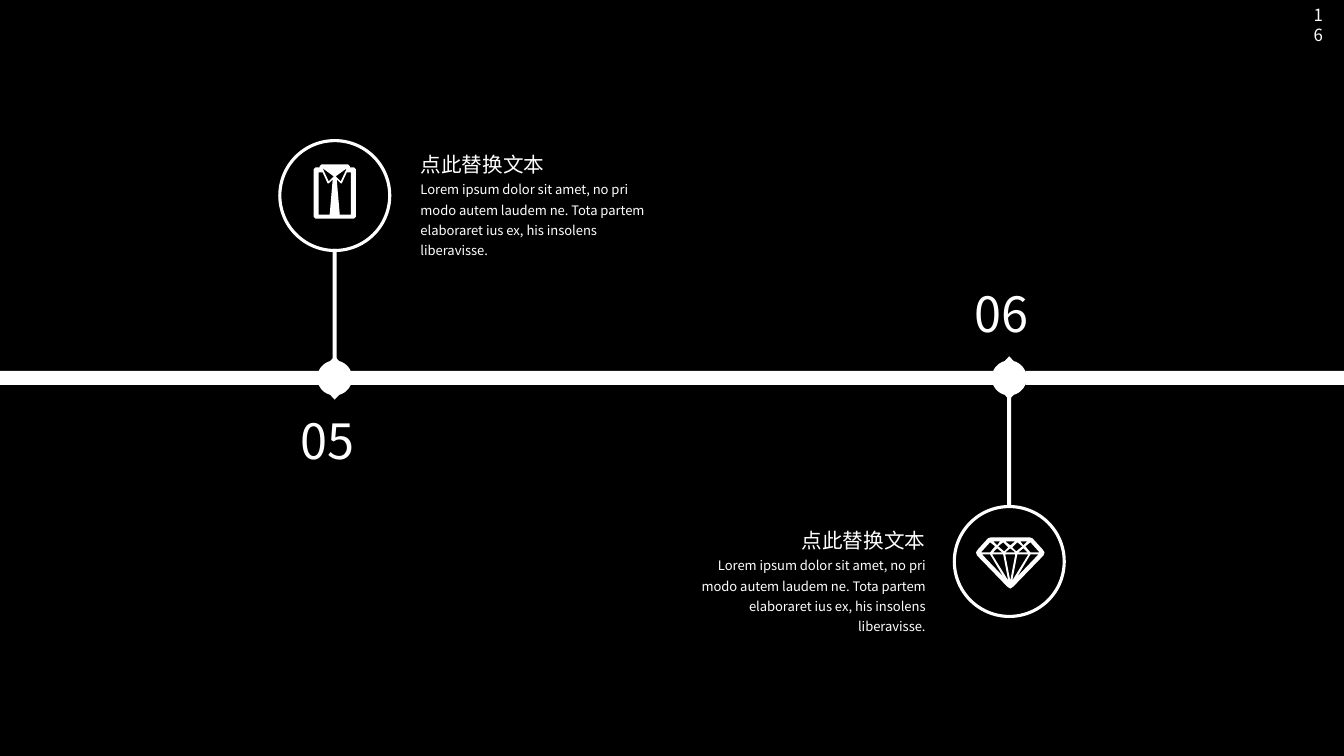
import math
from dataclasses import dataclass

import pptx
import pptx.dml.color
import pptx.enum.shapes
import pptx.enum.text
import pptx.util

Inches = pptx.util.Inches
SHAPE = pptx.enum.shapes.MSO_SHAPE
ALIGN = pptx.enum.text.PP_ALIGN


@dataclass(frozen=True)
class Theme:
    font: str = "Noto Sans CJK SC"
    dark: pptx.dml.color.RGBColor = pptx.dml.color.RGBColor(0, 0, 0)
    light: pptx.dml.color.RGBColor = pptx.dml.color.RGBColor(255, 255, 255)
    number: float = 34.7
    title: float = 14.7
    body: float = 9.3
    page: float = 12
    outline: float = 2.25


class Deck:
    """Holds the theme and the current slide."""

    def __init__(self, prs, theme):
        self.theme = theme
        self.s = prs.slides.add_slide(prs.slide_layouts[6])

    def paint(self, sp, color):
        sp.shadow.inherit = False
        sp.fill.solid()
        sp.fill.fore_color.rgb = color
        sp.line.fill.background()

    def bar(self, x, y, w, h, color):
        self.paint(self.s.shapes.add_shape(
            SHAPE.RECTANGLE, Inches(x), Inches(y), Inches(w), Inches(h)), color)

    def ring(self, cx, cy, d):
        sp = self.s.shapes.add_shape(
            SHAPE.OVAL, Inches(cx - d / 2), Inches(cy - d / 2), Inches(d), Inches(d))
        sp.shadow.inherit = False
        sp.fill.background()
        sp.line.color.rgb = self.theme.light
        sp.line.width = pptx.util.Pt(self.theme.outline)

    def outline(self, x, y, contours, unit):
        """Filled shape; contours after the first are cut out of it."""
        first, *holes = contours
        fb = self.s.shapes.build_freeform(*first[0], scale=Inches(unit))
        fb.add_line_segments(first[1:])
        for hole in holes:
            fb.move_to(*hole[0])
            fb.add_line_segments(hole[1:])
        self.paint(fb.convert_to_shape(Inches(x), Inches(y)), self.theme.light)

    def text(self, x, y, w, h, text, size, align=ALIGN.LEFT, spacing=None, inset=0):
        sp = self.s.shapes.add_textbox(Inches(x), Inches(y), Inches(w), Inches(h))
        tf = sp.text_frame
        tf.word_wrap = True
        tf.vertical_anchor = pptx.enum.text.MSO_ANCHOR.MIDDLE
        tf.margin_left = tf.margin_right = Inches(inset)
        tf.margin_top = tf.margin_bottom = Inches(inset / 2)
        p = tf.paragraphs[0]
        p.text = text
        p.alignment = align
        p.line_spacing = spacing
        p.font.size = pptx.util.Pt(size)
        p.font.name = self.theme.font
        p.font.color.rgb = self.theme.light


def mirror(points):
    return [(-x, y) for x, y in reversed(points)]


def icon(left_edge, side_holes, middle_holes=()):
    """Symmetric icon from its left half, in hundredths of an inch."""
    return [left_edge + mirror(left_edge), *side_holes,
            *map(mirror, side_holes), *middle_holes]


SHIRT = icon(
    [(-19, 54), (-21, 52), (-21, 5), (-19, 3), (-15, 3), (-15, 2), (-13, 0)],
    [[(-16, 50), (-16, 8), (-12, 8), (-7, 19), (-6, 19), (-2, 15), (-5, 50)],
     [(-12, 4), (-1, 12), (-6, 17)]])
DIAMOND = icon(
    [(0, 51), (-3, 49), (-33, 18), (-34, 15), (-32, 12), (-22, 1), (-19, 0)],
    [[(-20, 5), (-15, 9), (-20, 15), (-29, 15)],
     [(-10, 4), (-13, 8), (-17, 4)],
     [(-8, 15), (-17, 15), (-13, 11)],
     [(-2, 10), (-6, 14), (-12, 9), (-7, 5)],
     [(-28, 17), (-20, 17), (-7, 39)],
     [(-18, 17), (-7, 17), (-2, 43)]],
    [[(-5, 4), (5, 4), (0, 8)],
     [(-5, 15), (5, 15), (0, 11)],
     [(-5, 17), (5, 17), (0, 43)]])

# Timeline dot with a tip above and below, in thousandths of an inch
ARC = [(-173 * math.sin(math.radians(a)), -173 * math.cos(math.radians(a)))
       for a in range(15, 166, 5)]
MARKER = [[(round(x), round(y)) for x, y in
           [(0, -215), *ARC, (0, 215), *mirror(ARC)]]]

WIDTH, HEIGHT, AXIS = 13.33, 7.5, 3.75
TITLE_W, BODY_W = 1.72, 2.42
TITLE = "点此替换文本"
BODY = ("Lorem ipsum dolor sit amet, no pri modo autem laudem ne. "
        "Tota partem elaboraret ius ex, his insolens liberavisse.")

# number, centre x, ring y, stem y, number y, text edge, title y, align,
# icon, icon x, icon y
MILESTONES = [
    ("05", 3.32, 1.94, 2.47, 4.03, 4.17, 1.49, ALIGN.LEFT, SHIRT, 3.32, 1.63),
    ("06", 10.01, 5.57, 3.83, 2.77, 9.18, 5.22, ALIGN.RIGHT, DIAMOND, 10.02, 5.33),
]


def main():
    prs = pptx.Presentation()
    prs.slide_width, prs.slide_height = Inches(WIDTH), Inches(HEIGHT)
    theme = Theme()
    deck = Deck(prs, theme)

    # Backdrop
    deck.bar(0, 0, WIDTH, HEIGHT, theme.dark)

    # Horizontal axis, in stretches that meet under the markers
    for start, end in [(0, 3.22), (3.39, 9.94), (10.17, WIDTH)]:
        deck.bar(start, AXIS - 0.07, end - start, 0.14, theme.light)

    # Milestones
    for (number, x, ring_y, stem_y, number_y, edge, title_y, align,
         art, art_x, art_y) in MILESTONES:
        deck.bar(x - 0.02, stem_y, 0.04, 1.2, theme.light)
        deck.outline(x, AXIS, MARKER, 0.001)
        deck.text(x - 0.34, number_y, 0.69, 0.67, number, theme.number)
        deck.ring(x, ring_y, 1.09)
        deck.outline(art_x, art_y, art, 0.01)
        for text, y, w, h, size, spacing in [
                (TITLE, title_y, TITLE_W, 0.34, theme.title, 0.65),
                (BODY, title_y + 0.31, BODY_W, 0.72, theme.body, 1.3)]:
            left = edge if align == ALIGN.LEFT else edge - w
            deck.text(left, y, w, h, text, size, align, spacing)

    # Page number
    deck.text(12.88, 0.18, 0.34, 0.13, "16", theme.page, ALIGN.RIGHT, inset=0.1)

    prs.save("out.pptx")


if __name__ == "__main__":
    main()
